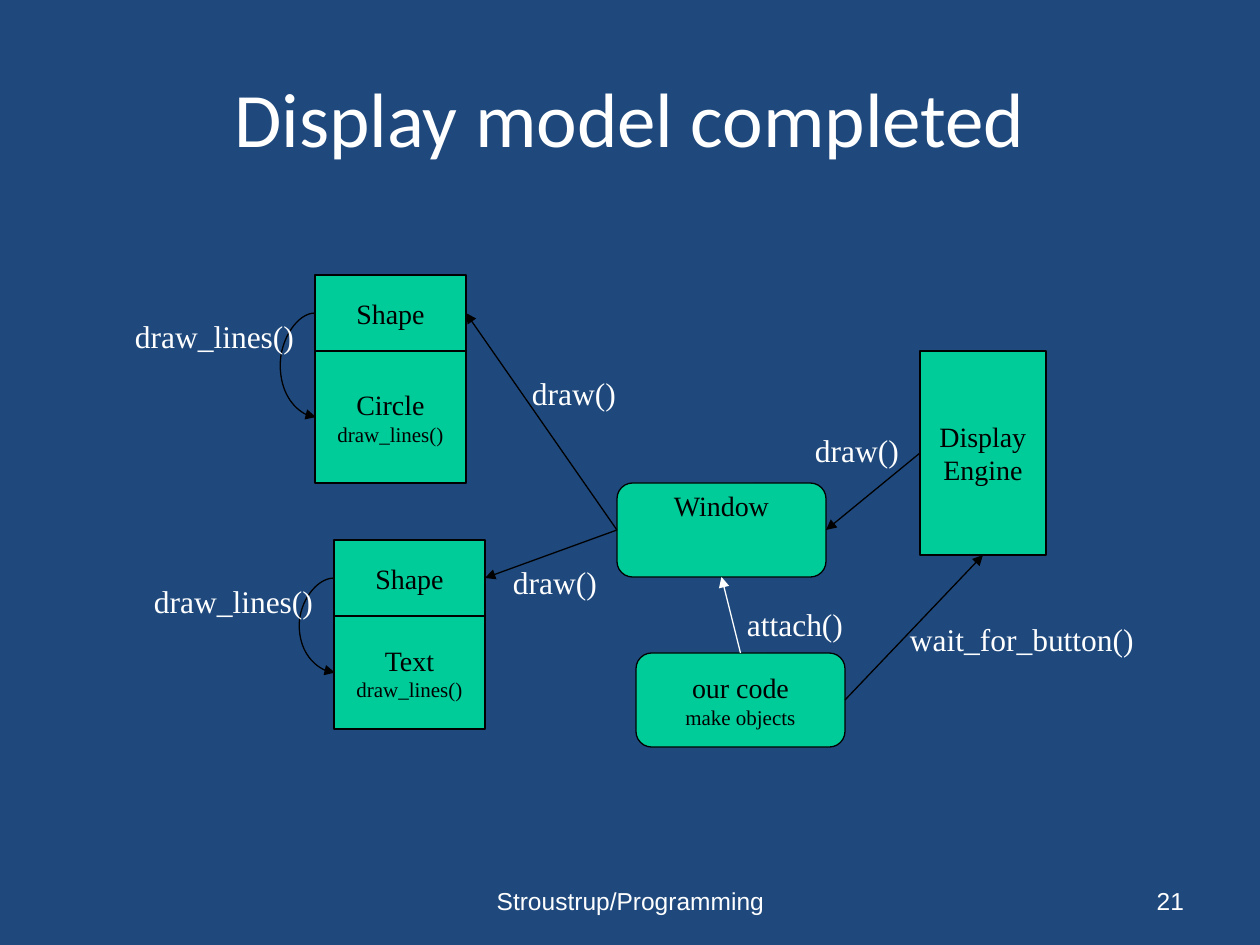
from dataclasses import dataclass

from lxml.etree import SubElement
from pptx import Presentation
from pptx.dml.color import RGBColor
from pptx.enum.shapes import MSO_CONNECTOR, MSO_SHAPE
from pptx.enum.text import MSO_ANCHOR, PP_ALIGN
from pptx.oxml.ns import qn
from pptx.util import Emu, Pt


@dataclass(frozen=True)
class Theme:
    back: RGBColor = RGBColor(0x1F, 0x49, 0x7D)
    node: RGBColor = RGBColor(0x00, 0xCC, 0x99)
    dark: RGBColor = RGBColor(0, 0, 0)
    light: RGBColor = RGBColor(255, 255, 255)
    title_font: str = "Calibri"
    body_font: str = "Times New Roman"
    footer_font: str = "Arial"
    title_size: int = 44
    label_size: int = 18
    node_size: int = 16
    detail_size: int = 12
    footer_size: int = 14
    line_width: float = 0.75


THEME = Theme()
SCALE = 914400 / 126
TOP, LEFT, BOTTOM, RIGHT = range(4)


def px(length):
    return Emu(round(length * SCALE))


def write(frame, lines, font, color, align, anchor, insets, wrap=True):
    frame.word_wrap = wrap
    frame.vertical_anchor = anchor
    frame.margin_left = frame.margin_right = px(insets[0])
    frame.margin_top = frame.margin_bottom = px(insets[1])
    for index, (text, size) in enumerate(lines):
        paragraph = frame.add_paragraph() if index else frame.paragraphs[0]
        paragraph.text = text
        paragraph.alignment = align
        paragraph.font.name = font
        paragraph.font.size = Pt(size)
        paragraph.font.color.rgb = color


def add_heading(slide, box, text):
    title = slide.shapes.title
    title.left, title.top, title.width, title.height = map(px, box)
    write(title.text_frame, [(text, THEME.title_size)], THEME.title_font,
          THEME.light, PP_ALIGN.CENTER, MSO_ANCHOR.MIDDLE, (13, 6))


def add_node(slide, box, lines, kind=MSO_SHAPE.RECTANGLE,
             anchor=MSO_ANCHOR.MIDDLE, insets=(9, 4), wrap=True):
    node = slide.shapes.add_shape(kind, *map(px, box))
    node.shadow.inherit = False
    node.fill.solid()
    node.fill.fore_color.rgb = THEME.node
    node.line.color.rgb = THEME.dark
    node.line.width = Pt(THEME.line_width)
    write(node.text_frame, lines, THEME.body_font, THEME.dark,
          PP_ALIGN.CENTER, anchor, insets, wrap)
    return node


def add_arrow(slide, start, start_site, end, end_site,
              color=THEME.dark, kind=MSO_CONNECTOR.STRAIGHT):
    arrow = slide.shapes.add_connector(kind, 0, 0, 0, 0)
    arrow.begin_connect(start, start_site)
    arrow.end_connect(end, end_site)
    arrow.line.color.rgb = color
    arrow.line.width = Pt(THEME.line_width)
    SubElement(arrow.line._get_or_add_ln(), qn("a:tailEnd"), type="triangle")
    SubElement(arrow._element.spPr, qn("a:effectLst"))
    return arrow


def add_loop(slide, start, end, bulge=35):
    loop = add_arrow(slide, start, LEFT, end, LEFT, kind=MSO_CONNECTOR.CURVE)
    loop.width = px(1)
    properties = loop._element.spPr
    frame = properties.find(qn("a:xfrm"))
    for name, value in (("rot", "10800000"), ("flipH", "1"), ("flipV", "1")):
        frame.set(name, value)
    guides = properties.find(qn("a:prstGeom")).get_or_add_avLst()
    SubElement(guides, qn("a:gd"), name="adj1", fmla=f"val {-bulge * 100000}")


def add_label(slide, box, text):
    label = slide.shapes.add_textbox(*map(px, box))
    write(label.text_frame, [(text, THEME.label_size)], THEME.body_font,
          THEME.light, PP_ALIGN.LEFT, MSO_ANCHOR.TOP, (9, 4), wrap=False)


def add_shape_stack(slide, box, kind):
    left, top, width, height = box
    header = 76
    base = add_node(slide, (left, top + header, width, height - header),
                    [(kind, THEME.node_size), ("draw_lines()", THEME.detail_size)])
    shape = add_node(slide, (left, top, width, header), [("Shape", THEME.node_size)])
    add_loop(slide, shape, base)
    add_label(slide, (left - 189, top + 38, 178, 47), "draw_lines()")
    return shape


def add_footer(slide, box, text, align):
    footer = slide.shapes.add_textbox(*map(px, box))
    write(footer.text_frame, [(text, THEME.footer_size)], THEME.footer_font,
          THEME.light, align, MSO_ANCHOR.MIDDLE, (13, 6))


def add_display_model(slide, box):
    x, y = box[:2]
    rounded = MSO_SHAPE.ROUNDED_RECTANGLE
    circle = add_shape_stack(slide, (x + 189, y, 151, 208), "Circle")
    text = add_shape_stack(slide, (x + 208, y + 265, 151, 189), "Text")
    window = add_node(slide, (x + 491, y + 208, 209, 94),
                      [("Window", THEME.node_size)], rounded,
                      MSO_ANCHOR.TOP, (9, 1))
    engine = add_node(slide, (x + 794, y + 76, 126, 204),
                      [("Display", THEME.node_size), ("Engine", THEME.node_size)],
                      wrap=False)
    our_code = add_node(slide, (x + 510, y + 378, 209, 94),
                        [("our code", THEME.node_size),
                         ("make objects", THEME.detail_size)], rounded)

    add_arrow(slide, engine, LEFT, window, RIGHT)
    add_arrow(slide, window, LEFT, circle, RIGHT)
    add_arrow(slide, window, LEFT, text, RIGHT)
    add_arrow(slide, our_code, RIGHT, engine, BOTTOM)
    add_arrow(slide, our_code, TOP, window, BOTTOM, THEME.light)

    for call, left, top, width in (
        ("draw()", 397, 95, 104),
        ("draw()", 378, 284, 104),
        ("draw()", 680, 152, 104),
        ("wait_for_button()", 775, 341, 244),
        ("attach()", 612, 326, 128),
    ):
        add_label(slide, (x + left, y + top, width, 47), call)


def main():
    deck = Presentation()
    deck.slide_width, deck.slide_height = px(1260), px(945)
    slide = deck.slides.add_slide(deck.slide_layouts[5])
    slide.background.fill.solid()
    slide.background.fill.fore_color.rgb = THEME.back
    add_heading(slide, (63, 38, 1134, 157), "Display model completed")
    add_display_model(slide, (126, 275, 920, 472))
    add_footer(slide, (431, 876, 399, 50), "Stroustrup/Programming", PP_ALIGN.CENTER)
    add_footer(slide, (903, 876, 294, 50), "21", PP_ALIGN.RIGHT)
    deck.save("out.pptx")


main()
